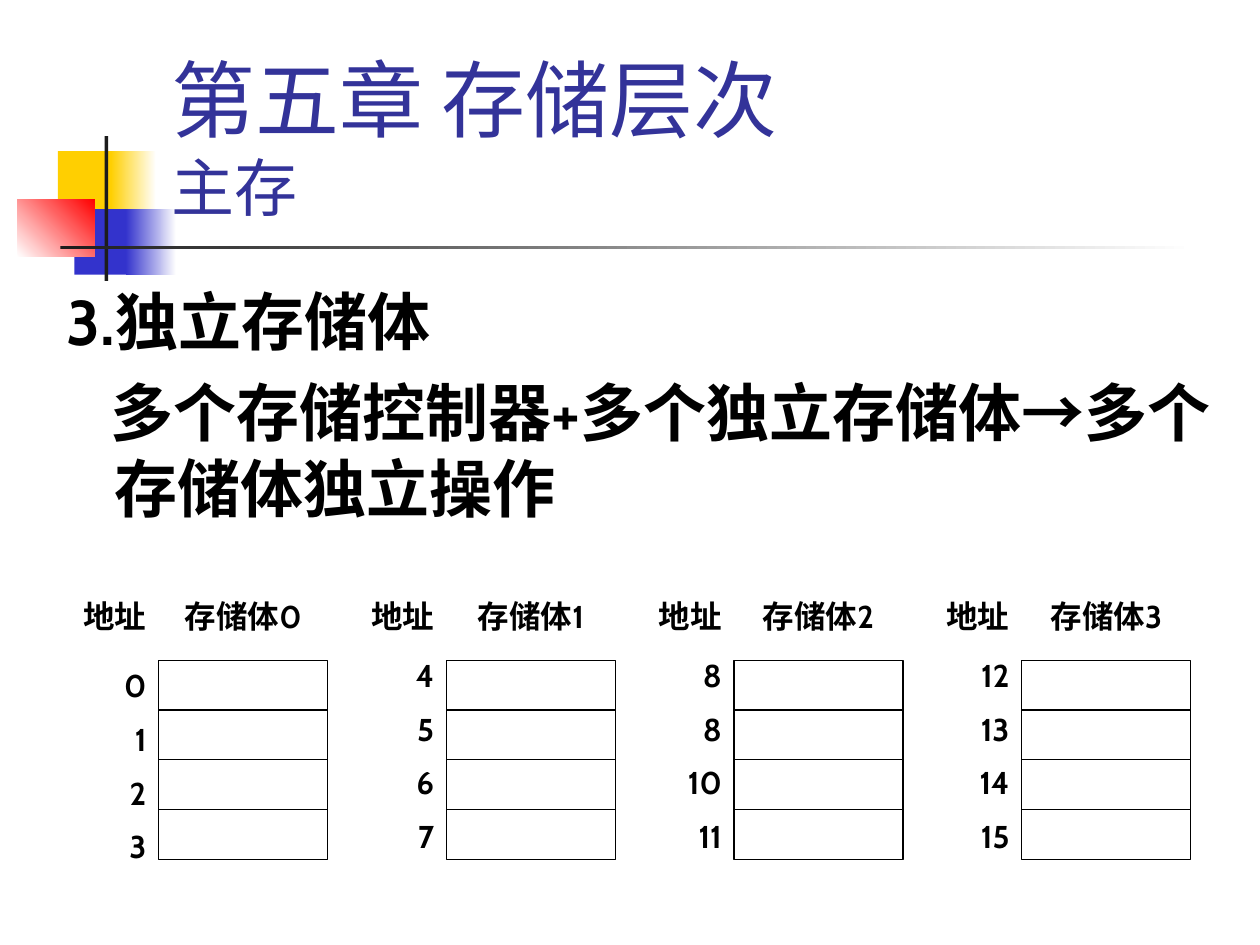
from dataclasses import dataclass

from lxml.etree import SubElement
from pptx import Presentation
from pptx.dml.color import RGBColor
from pptx.enum.shapes import MSO_CONNECTOR, MSO_SHAPE
from pptx.enum.text import MSO_ANCHOR, PP_ALIGN
from pptx.oxml.ns import qn
from pptx.util import Inches, Pt

# The slide is a grid of 100 columns by 75 rows; every cell is square.
COLUMNS, ROWS = 100, 75
CELL = Inches(0.1)


@dataclass(frozen=True)
class Theme:
    font: str = "Cabin"
    title: str = "333399"
    ink: str = "000000"
    bar: str = "1C1C1C"
    white: str = "FFFFFF"
    yellow: str = "FFCF01"
    blue: str = "3333CC"
    red: str = "FF0000"
    title_size: int = 48
    body_size: int = 36
    label_size: int = 18
    space: int = 9
    line: float = 0.75


@dataclass(frozen=True)
class Box:
    left: float
    top: float
    width: float
    height: float

    def inner(self, left, top, width, height):
        return Box(self.left + left, self.top + top, width, height)

    def lengths(self):
        return [cells(n) for n in (self.left, self.top, self.width, self.height)]


@dataclass(frozen=True)
class Bank:
    name: str
    addresses: tuple
    heading_width: float
    address_width: float
    name_width: float
    address_top: float


THEME = Theme()
BANKS = (
    Bank("存储体0", ("0", "1", "2", "3"), 7.9, 5.5, 13.4, 5.5),
    Bank("存储体1", ("4", "5", "6", "7"), 7.9, 5.5, 15, 4.7),
    Bank("存储体2", ("8", "8", "10", "11"), 7.1, 6.3, 15, 4.7),
    Bank("存储体3", ("12", "13", "14", "15"), 7.1, 6.3, 13.4, 4.7),
)


def cells(count):
    return round(count * CELL)


def color(value):
    return RGBColor.from_string(value)


def add_text(page, box, lines, size=THEME.label_size, ink=THEME.ink, bold=True,
             align=PP_ALIGN.LEFT, anchor=MSO_ANCHOR.TOP, space=THEME.space):
    """Write one paragraph per line and return the paragraphs."""
    frame = page.shapes.add_textbox(*box.lengths()).text_frame
    frame.word_wrap = True
    frame.vertical_anchor = anchor
    for index, line in enumerate(lines):
        para = frame.paragraphs[0] if index == 0 else frame.add_paragraph()
        para.alignment = align
        para.space_before = Pt(space if index else 0)
        para.text = line
        for span in para.runs:
            span.font.name = THEME.font
            span.font.size = Pt(size)
            span.font.bold = bold
            span.font.color.rgb = color(ink)
    return frame.paragraphs


def add_block(page, box, start, end=None, angle=0):
    """Add a borderless rectangle, plain or fading from start to end."""
    shape = page.shapes.add_shape(MSO_SHAPE.RECTANGLE, *box.lengths())
    shape.shadow.inherit = False
    shape.line.fill.background()
    if end is None:
        shape.fill.solid()
        shape.fill.fore_color.rgb = color(start)
        return
    shape.fill.gradient()
    shape.fill.gradient_angle = angle
    for stop, place, value in zip(shape.fill.gradient_stops, (0, 1), (start, end)):
        stop.position = place
        stop.color.rgb = color(value)


def add_rule(page, left, top, width):
    rule = page.shapes.add_connector(
        MSO_CONNECTOR.STRAIGHT, cells(left), cells(top), cells(left + width), cells(top))
    rule.line.color.rgb = color(THEME.ink)
    rule.line.width = Pt(THEME.line)
    SubElement(rule._element.spPr, qn("a:effectLst"))


def draw_ornament(page, box):
    # Coloured squares
    add_block(page, box.inner(3.2, 1.2, 4.8, 5.2), THEME.yellow)
    add_block(page, box.inner(7.4, 1.2, 3.6, 5.2), THEME.yellow, THEME.white)
    add_block(page, box.inner(4.5, 5.8, 4.6, 5.2), THEME.blue)
    add_block(page, box.inner(8.6, 5.8, 4, 5.2), THEME.blue, THEME.white)
    add_block(page, box.inner(0, 5, 6.1, 4.6), THEME.white, THEME.red, angle=45)
    # Crossing bars
    add_block(page, box.inner(6.9, 0, 0.3, box.height), THEME.bar)
    add_block(page, box.inner(3.4, 8.7, 90, 0.3), THEME.bar, THEME.white)


def draw_title(page, box):
    para = add_text(page, box, ["第五章 存储层次\v主存"], size=THEME.title_size,
                    ink=THEME.title, bold=False, anchor=MSO_ANCHOR.BOTTOM)[0]
    para.runs[-1].font.size = Pt(THEME.body_size)


def draw_body(page, box):
    paras = add_text(page, box, ["3.独立存储体", "多个存储控制器+多个独立存储体→多个存储体独立操作"],
                     size=THEME.body_size)
    # Hanging indents
    for para, first in zip(paras, (-3.8, -0.3)):
        properties = para._p.get_or_add_pPr()
        properties.set("marL", str(cells(3.8)))
        properties.set("indent", str(cells(first)))


def draw_bank(page, box, bank):
    # Headings
    add_text(page, box.inner(-bank.heading_width, 0, bank.heading_width, 4),
             ["地址"], align=PP_ALIGN.RIGHT)
    add_text(page, box.inner((box.width - bank.name_width) / 2, 0, bank.name_width, 4),
             [bank.name], align=PP_ALIGN.CENTER)
    # Memory cells
    store = box.inner(0, 5.5, box.width, box.height - 5.5)
    frame = page.shapes.add_shape(MSO_SHAPE.RECTANGLE, *store.lengths())
    frame.shadow.inherit = False
    frame.fill.background()
    frame.line.color.rgb = color(THEME.ink)
    frame.line.width = Pt(THEME.line)
    count = len(bank.addresses)
    for row in range(1, count):
        add_rule(page, store.left, store.top + row * store.height / count, store.width)
    # Addresses
    add_text(page, box.inner(-bank.address_width, bank.address_top, bank.address_width, 16.8),
             bank.addresses, align=PP_ALIGN.RIGHT)


def draw_banks(page, box):
    width = 13.4
    step = (box.width - width) / (len(BANKS) - 1)
    for index, bank in enumerate(BANKS):
        draw_bank(page, box.inner(index * step, 0, width, box.height), bank)


def main():
    deck = Presentation()
    deck.slide_width, deck.slide_height = cells(COLUMNS), cells(ROWS)
    page = deck.slides.add_slide(deck.slide_layouts[6])
    draw_ornament(page, Box(1.4, 10.8, 93.4, 11.5))
    draw_title(page, Box(12.6, 2.3, 85.2, 16))
    draw_body(page, Box(4.3, 21.9, 93.6, 22))
    draw_banks(page, Box(12.6, 46.9, 81.9, 21.3))
    deck.save("out.pptx")


if __name__ == "__main__":
    main()
